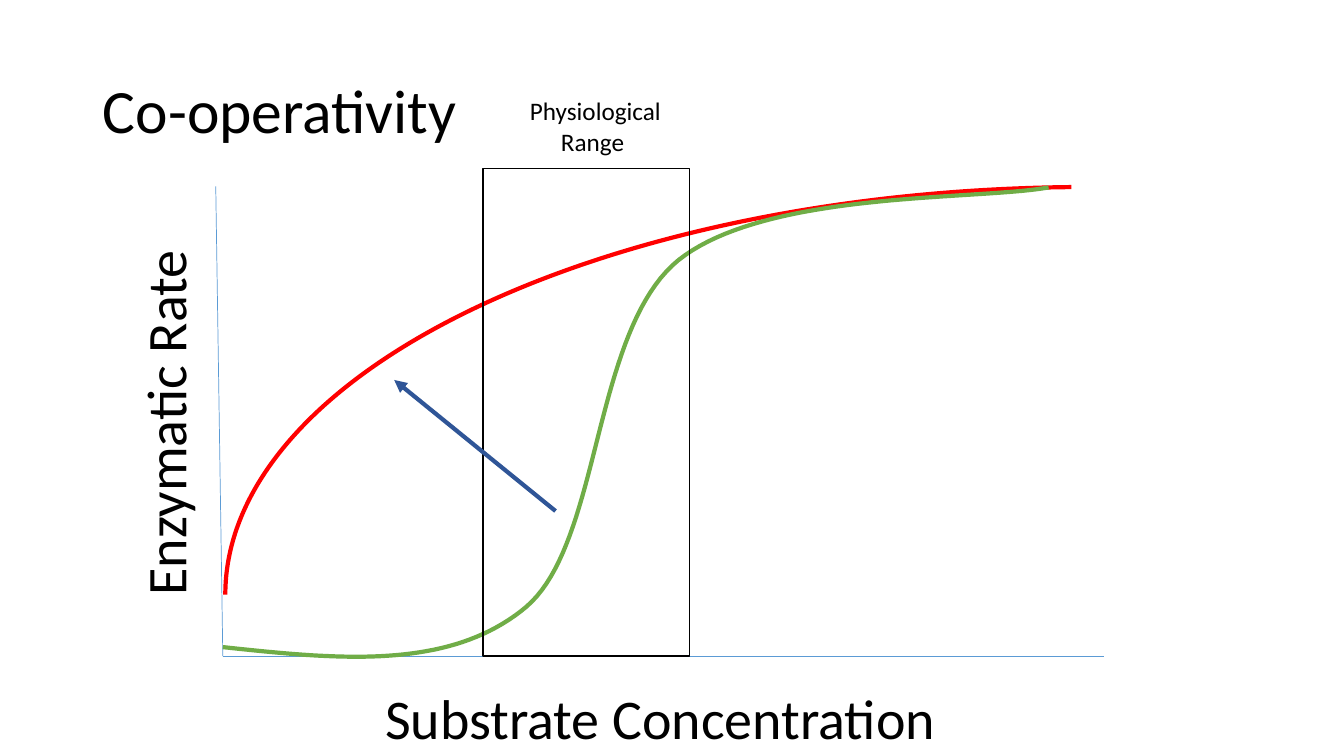
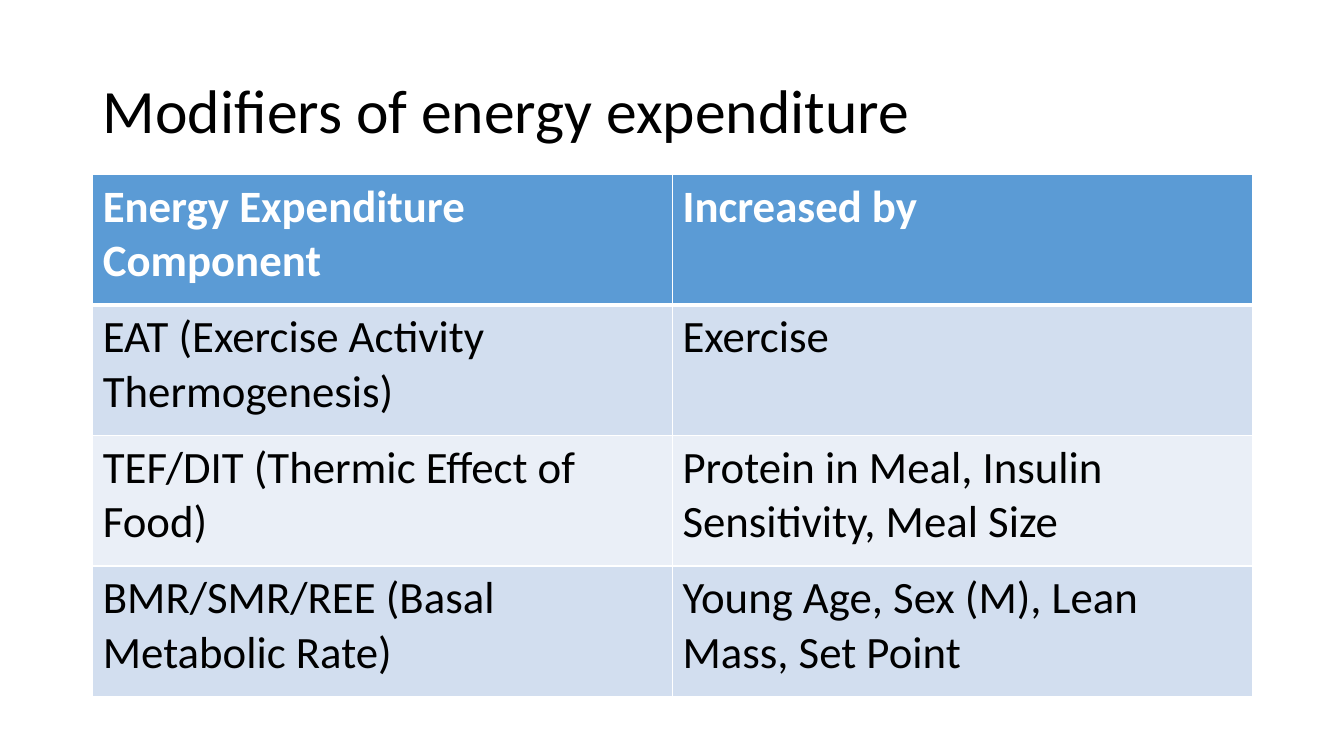
from dataclasses import dataclass

from lxml.etree import SubElement
from pptx import Presentation
from pptx.dml.color import RGBColor
from pptx.enum.shapes import MSO_CONNECTOR, MSO_SHAPE
from pptx.enum.text import MSO_ANCHOR, MSO_AUTO_SIZE, PP_ALIGN
from pptx.oxml.ns import qn
from pptx.util import Inches, Pt


@dataclass(frozen=True)
class Theme:
    font: str = "Calibri"
    black: str = "000000"
    white: str = "FFFFFF"
    blue: str = "5B9BD5"
    navy: str = "2F5597"
    red: str = "FF0000"
    green: str = "70AD47"
    bands: tuple = ("D2DEEF", "EAEFF7")
    title: int = 44
    axis: int = 40
    cell: int = 32
    note: int = 18
    thin: float = 0.5
    frame: float = 1
    thick: float = 3


THEME = Theme()
LEFT, WIDTH = 0.92, 11.5

# Cubic segments of the sigmoid: two controls and an end point each
START = (2.21, 6.42)
CURVES = [
    ((3.34, 6.54), (4.46, 6.66), (5.22, 6.02)),
    ((5.97, 5.38), (5.87, 3.28), (6.73, 2.58)),
    ((7.6, 1.89), (9.67, 1.99), (10.4, 1.86)),
]
STEPS = 40

ROWS = [
    ("Energy Expenditure Component", "Increased by"),
    ("EAT (Exercise Activity Thermogenesis)", "Exercise"),
    ("TEF/DIT (Thermic Effect of Food)",
     "Protein in Meal, Insulin Sensitivity, Meal Size"),
    ("BMR/SMR/REE (Basal Metabolic Rate)",
     "Young Age, Sex (M), Lean Mass, Set Point"),
]


def color(code):
    return RGBColor.from_string(code)


def style(frame, size, code=THEME.black, bold=False, align=PP_ALIGN.LEFT):
    for para in frame.paragraphs:
        para.alignment = align
        for run in para.runs:
            font = run.font
            font.name, font.size, font.bold = THEME.font, Pt(size), bold
            font.color.rgb = color(code)


def stroke(line, code, width):
    line.color.rgb = color(code)
    line.width = Pt(width)


def add_page(deck, text):
    page = deck.slides.add_slide(deck.slide_layouts[5])
    title = page.shapes.title
    title.left, title.top = Inches(LEFT), Inches(0.4)
    title.width, title.height = Inches(WIDTH), Inches(1.45)
    frame = title.text_frame
    frame.text = text
    frame.auto_size = MSO_AUTO_SIZE.NONE
    frame.vertical_anchor = MSO_ANCHOR.MIDDLE
    frame.paragraphs[0].line_spacing = 0.9
    style(frame, THEME.title)
    return page


def add_label(page, text, box, size, align=PP_ALIGN.LEFT, turn=0):
    label = page.shapes.add_textbox(*map(Inches, box))
    label.rotation = turn
    frame = label.text_frame
    frame.text = text
    frame.word_wrap = False
    frame.auto_size = MSO_AUTO_SIZE.SHAPE_TO_FIT_TEXT
    style(frame, size, align=align)


def add_line(page, start, end, code, width, arrow=False):
    line = page.shapes.add_connector(
        MSO_CONNECTOR.STRAIGHT, *map(Inches, start + end))
    stroke(line.line, code, width)
    props = line._element.spPr
    if arrow:
        SubElement(line.line._get_or_add_ln(), qn("a:tailEnd"), type="triangle")
    SubElement(props, qn("a:effectLst"))


def add_outline(page, kind, box, code, width):
    shape = page.shapes.add_shape(kind, *map(Inches, box))
    shape.shadow.inherit = False
    shape.fill.background()
    stroke(shape.line, code, width)
    return shape


def bezier(p0, p1, p2, p3, t):
    s = 1 - t
    return tuple(
        Inches(s**3 * a + 3 * s * s * t * b + 3 * s * t * t * c + t**3 * d)
        for a, b, c, d in zip(p0, p1, p2, p3))


def add_curve(page, start, curves, code, width):
    points, last = [], start
    for curve in curves:
        points += [bezier(last, *curve, i / STEPS) for i in range(1, STEPS + 1)]
        last = curve[-1]
    pen = page.shapes.build_freeform(*map(Inches, start))
    pen.add_line_segments(points, close=False)
    shape = pen.convert_to_shape()
    shape.shadow.inherit = False
    shape.fill.background()
    stroke(shape.line, code, width)


def add_edge(cell, side, width):
    edge = SubElement(cell._tc.get_or_add_tcPr(), qn(f"a:ln{side}"),
                      w=str(Pt(width)))
    fill = SubElement(edge, qn("a:solidFill"))
    SubElement(fill, qn("a:srgbClr"), val=THEME.white)


def add_grid(page, rows, box):
    grid = page.shapes.add_table(
        len(rows), len(rows[0]), *map(Inches, box)).table
    for r, row in enumerate(rows):
        head = r == 0
        back = THEME.blue if head else THEME.bands[(r - 1) % 2]
        for c, text in enumerate(row):
            cell = grid.cell(r, c)
            cell.text = text
            style(cell.text_frame, THEME.cell,
                  THEME.white if head else THEME.black, head)
            # The rule under the header is heavier than the others
            for side in "LRTB":
                heavy = (r, side) in ((0, "B"), (1, "T"))
                add_edge(cell, side, THEME.thick if heavy else THEME.frame)
            cell.fill.solid()
            cell.fill.fore_color.rgb = color(back)


def add_graph(deck):
    page = add_page(deck, "Co-operativity")
    # Axes
    base = (2.21, 6.51)
    add_line(page, (2.14, 1.85), base, THEME.blue, THEME.thin)
    add_line(page, base, (10.95, 6.51), THEME.blue, THEME.thin)
    # Hyperbolic rate: a quarter arc turned on its side
    arc = add_outline(page, MSO_SHAPE.ARC, (6.76, -2.67, 8.09, 17.14),
                      THEME.red, THEME.thick)
    arc.rotation = 270
    arc.adjustments[0], arc.adjustments[1] = 162, 214.48
    arc.fill.solid()
    arc.fill.fore_color.rgb = color(THEME.white)
    # Axis names
    add_label(page, "Enzymatic Rate", (-0.2, 3.79, 3.66, 0.77),
              THEME.axis, turn=270)
    add_label(page, "Substrate Concentration", (3.72, 6.73, 5.72, 0.77),
              THEME.axis)
    # Sigmoid rate
    add_curve(page, START, CURVES, THEME.green, THEME.thick)
    # Marked range and shift
    add_outline(page, MSO_SHAPE.RECTANGLE, (4.79, 1.67, 2.05, 4.84),
                THEME.black, THEME.frame)
    add_label(page, "Physiological\nRange ", (5.15, 0.9, 1.51, 0.71),
              THEME.note, PP_ALIGN.CENTER)
    add_line(page, (5.51, 5.07), (3.91, 3.77), THEME.navy, THEME.thick, True)


def add_factors(deck):
    page = add_page(deck, "Modifiers of energy expenditure")
    add_grid(page, ROWS, (LEFT, 1.73, WIDTH, 5.18))


def main():
    deck = Presentation()
    deck.slide_width, deck.slide_height = Inches(13.33), Inches(7.5)
    add_graph(deck)
    add_factors(deck)
    deck.save("out.pptx")


if __name__ == "__main__":
    main()
